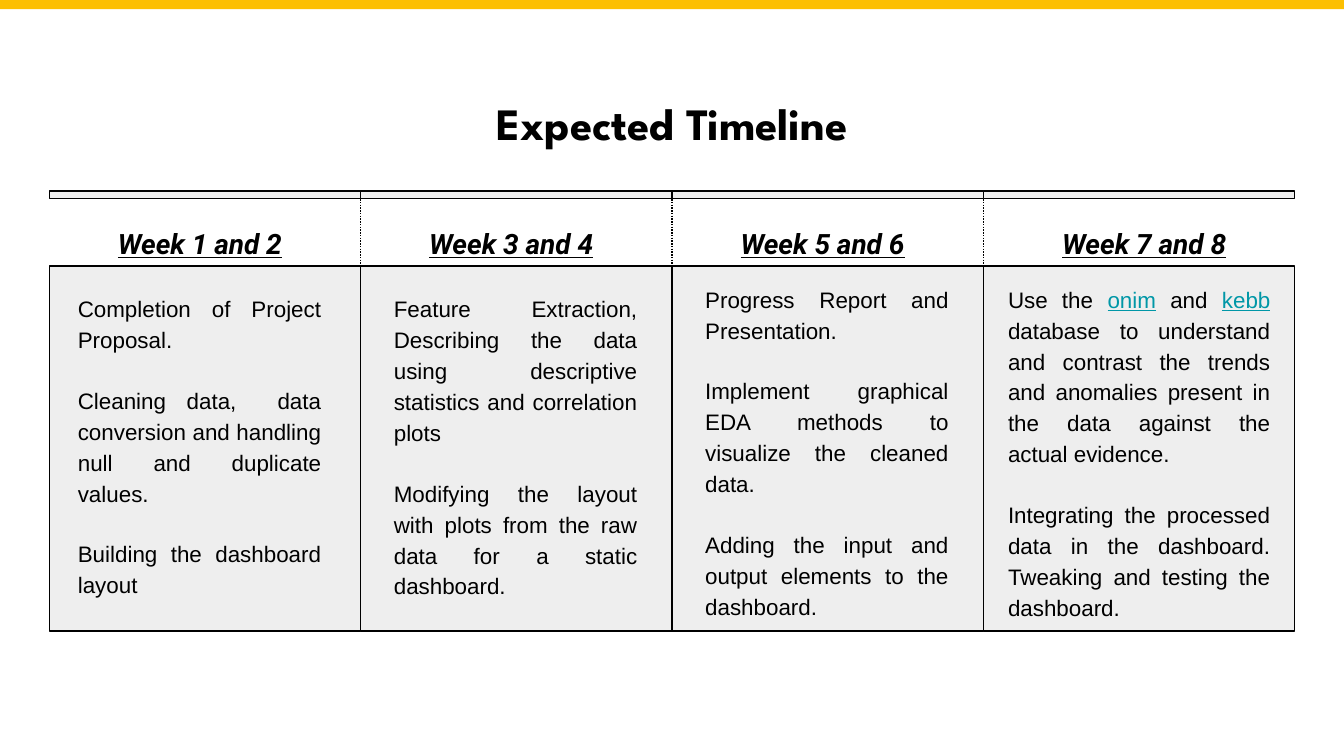
from lxml import etree
from pptx import Presentation
from pptx.dml.color import RGBColor
from pptx.enum import dml, shapes, text
from pptx.oxml.ns import qn
from pptx.util import Pt

BLACK, AMBER, GREY, TEAL = "000000", "FCBF01", "EEEEEE", "0097A7"
LEFT, COL_W = 26.4, 166.8
STRIP_TOP, PANEL_TOP, DIVIDER_END = 102.3, 142.5, 318.5
LINK_WORDS = ("onim", "kebb")

# heading, heading offset, body offset, body top, body width, paragraphs
WEEKS = [
    ("Week 1 and 2", 26, 8.2, 149, 144.7,
     ["Completion of Project Proposal.",
      "Cleaning data,  data conversion and handling null and duplicate values.",
      "Building the dashboard layout"]),
    ("Week 3 and 4", 26, 10.7, 149, 144.7,
     ["Feature Extraction, Describing the data using descriptive statistics "
      "and correlation plots",
      "Modifying the layout with plots from the raw data for a static dashboard."]),
    ("Week 5 and 6", 26, 10.7, 143.8, 144.7,
     ["Progress Report and Presentation.",
      "Implement graphical EDA methods to visualize the cleaned data.",
      "Adding the input and output elements to the dashboard."]),
    ("Week 7 and 8", 31.5, 6.1, 143.8, 154.8,
     ["Use the |onim| and |kebb| database to understand and contrast the trends "
      "and anomalies present in the data against the actual evidence.",
      "Integrating the processed data in the dashboard. "
      "Tweaking and testing the dashboard."]),
]


def rgb(value):
    return RGBColor.from_string(value)


def add_rect(slide, x, y, w, h, fill, line=None):
    sp = slide.shapes.add_shape(shapes.MSO_SHAPE.RECTANGLE, Pt(x), Pt(y), Pt(w), Pt(h))
    sp.shadow.inherit = False
    sp.fill.solid()
    sp.fill.fore_color.rgb = rgb(fill)
    if line:
        sp.line.color.rgb = rgb(line)
        sp.line.width = Pt(0.75)
    else:
        sp.line.fill.background()


def add_divider(slide, x):
    line = slide.shapes.add_connector(
        shapes.MSO_CONNECTOR.STRAIGHT, Pt(x), Pt(STRIP_TOP), Pt(x), Pt(DIVIDER_END))
    line.line.color.rgb = rgb(BLACK)
    line.line.width = Pt(0.75)
    line.line.dash_style = dml.MSO_LINE.ROUND_DOT
    etree.SubElement(line._element.spPr, qn("a:effectLst"))


def add_text(slide, x, y, w, h, paragraphs, font, size, align,
             spacing=None, bold=False, italic=False, underline=False):
    """Add a text box; words between bars that are link words are underlined."""
    tf = slide.shapes.add_textbox(Pt(x), Pt(y), Pt(w), Pt(h)).text_frame
    tf.word_wrap = True
    tf.margin_left = tf.margin_right = tf.margin_top = tf.margin_bottom = Pt(7.2)
    for i, content in enumerate(paragraphs):
        p = tf.add_paragraph() if i else tf.paragraphs[0]
        p.alignment = align
        p.line_spacing = spacing
        if i:
            p.space_before = Pt(16)
        p.font.name, p.font.size = font, Pt(size)
        p.font.bold, p.font.italic, p.font.underline = bold, italic, underline
        p.font.color.rgb = rgb(BLACK)
        for part in content.split("|"):
            r = p.add_run()
            r.text = part
            if part in LINK_WORDS:
                r.font.underline = True
                r.font.color.rgb = rgb(TEAL)


def add_week(slide, x, week):
    heading, heading_dx, body_dx, body_top, body_w, paragraphs = week
    add_rect(slide, x, STRIP_TOP, COL_W, 4.2, GREY, BLACK)
    add_rect(slide, x, PANEL_TOP, COL_W, 195.6, GREY, BLACK)
    add_text(slide, x + heading_dx, 111.6, 109.4, 20.2, [heading], "Roboto", 15,
             text.PP_ALIGN.CENTER, 1.15, bold=True, italic=True, underline=True)
    add_text(slide, x + body_dx, body_top, body_w, 150, paragraphs, "Arial", 12,
             text.PP_ALIGN.JUSTIFY, 1.15)


def main():
    prs = Presentation()
    prs.slide_width, prs.slide_height = Pt(720), Pt(405)
    slide = prs.slides.add_slide(prs.slide_layouts[6])
    add_rect(slide, 0, 0, 720, 5, AMBER)
    add_text(slide, 182.2, 43.9, 355.7, 40.3, ["Expected Timeline"],
             "League Spartan", 24, text.PP_ALIGN.CENTER, bold=True)
    for i in range(1, len(WEEKS)):
        add_divider(slide, LEFT + i * COL_W)
    for i, week in enumerate(WEEKS):
        add_week(slide, LEFT + i * COL_W, week)
    prs.save("out.pptx")


if __name__ == "__main__":
    main()
